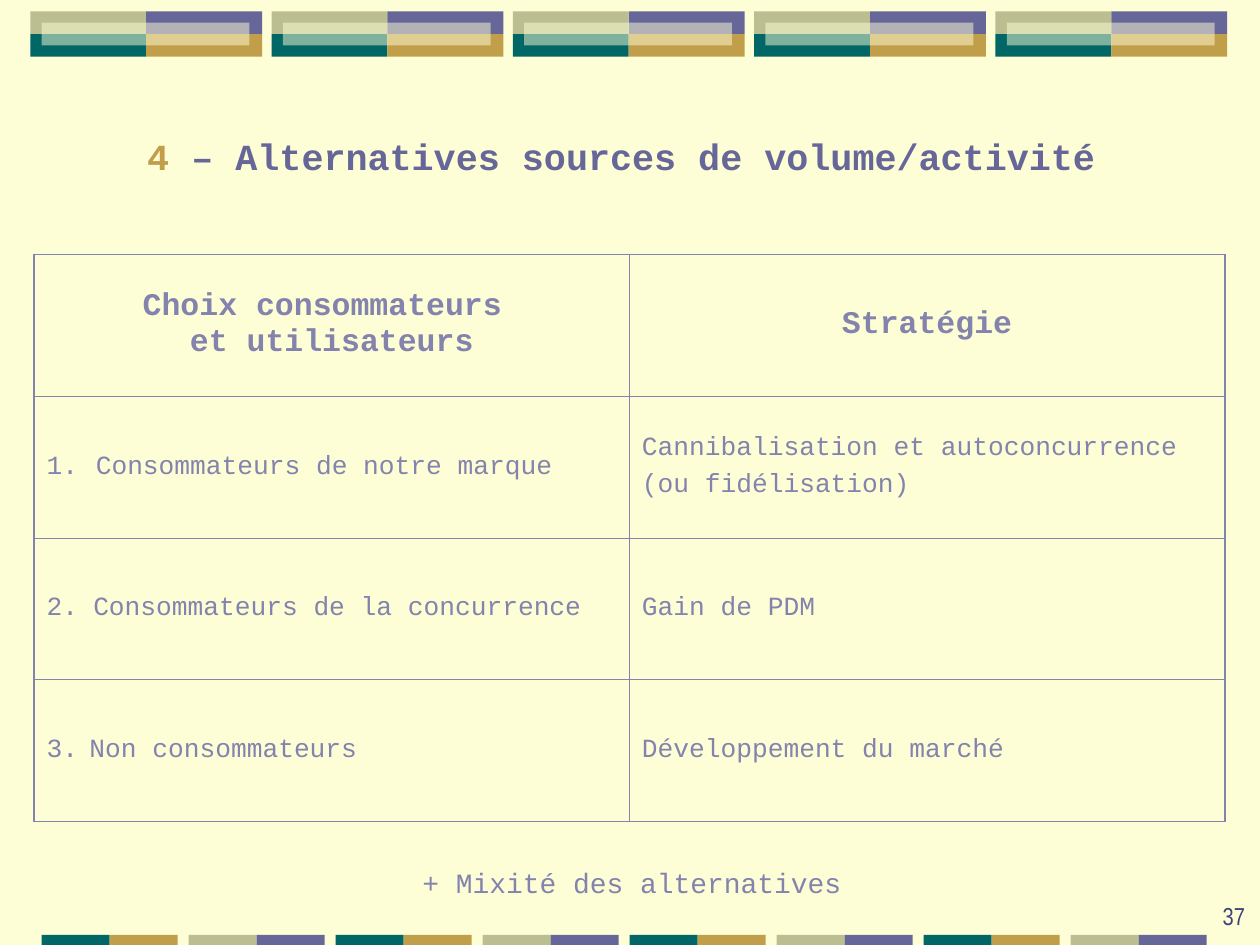
from pptx import Presentation
from pptx.dml.color import RGBColor
from pptx.enum.shapes import MSO_SHAPE
from pptx.enum.text import MSO_ANCHOR, MSO_AUTO_SIZE, PP_ALIGN
from pptx.oxml.ns import qn
from pptx.util import Inches, Pt
from lxml import etree

RECTANGLE = MSO_SHAPE.RECTANGLE
TOP, MIDDLE, BOTTOM = MSO_ANCHOR.TOP, MSO_ANCHOR.MIDDLE, MSO_ANCHOR.BOTTOM
LEFT, CENTER, RIGHT = PP_ALIGN.LEFT, PP_ALIGN.CENTER, PP_ALIGN.RIGHT
FIT_SHAPE = MSO_AUTO_SIZE.SHAPE_TO_FIT_TEXT

COLORS = {
    "cream": "FEFED6",
    "violet": "666699",
    "gold": "C09E4A",
    "teal": "006666",
    "olive": "BABE90",
    "lavender": "8383AD",
    "indigo": "404176",
}
HEADERS = ["Choix consommateurs \net utilisateurs", "Stratégie"]
ROWS = [
    ("1.\tConsommateurs de notre marque", 0.39,
     ["Cannibalisation et autoconcurrence", "(ou fidélisation)"]),
    ("2.\tConsommateurs de la concurrence", 0.37, ["Gain de PDM"]),
    ("3.\tNon consommateurs", 0.34, ["Développement du marché"]),
]


class SlideBuilder:
    font_name = "Courier New"
    outer_line = 1.08
    inner_line = 0.45

    def __init__(self, slide):
        self.slide = slide
        fill = slide.background.fill
        fill.solid()
        fill.fore_color.rgb = self.color("cream")

    def color(self, name):
        return RGBColor.from_string(COLORS[name])

    def style(self, span, size, color, bold=False, font_name=None):
        span.font.name = font_name or self.font_name
        span.font.size = Pt(size)
        span.font.bold = bold
        span.font.color.rgb = self.color(color)

    def block(self, left, top, width, height, color, alpha=None):
        shape = self.slide.shapes.add_shape(
            RECTANGLE, Inches(left), Inches(top), Inches(width), Inches(height))
        shape.shadow.inherit = False
        shape.line.fill.background()
        shape.fill.solid()
        shape.fill.fore_color.rgb = self.color(color)
        if alpha is not None:
            tint = shape.fill._xPr.find(qn("a:solidFill"))[0]
            etree.SubElement(tint, qn("a:alpha")).set("val", str(alpha * 1000))

    def text(self, left, top, width, height, spans, size, align=LEFT, anchor=TOP,
             bold=False, wrap=False, line_spacing=None, font_name=None):
        box = self.slide.shapes.add_textbox(
            Inches(left), Inches(top), Inches(width), Inches(height))
        frame = box.text_frame
        frame.word_wrap = wrap
        if not wrap:
            frame.auto_size = FIT_SHAPE
        frame.vertical_anchor = anchor
        para = frame.paragraphs[0]
        para.alignment = align
        if line_spacing:
            para.line_spacing = line_spacing
        for wording, color in spans:
            span = para.add_run()
            span.text = wording
            self.style(span, size, color, bold, font_name)

    def table(self, left, top, width, height, rows, columns):
        frame = self.slide.shapes.add_table(
            rows, columns, Inches(left), Inches(top), Inches(width), Inches(height))
        grid = frame.table
        grid.first_row = False
        grid.horz_banding = False
        for row in range(rows):
            for column in range(columns):
                cell = grid.cell(row, column)
                edges = {
                    "a:lnL": column == 0,
                    "a:lnR": column == columns - 1,
                    "a:lnT": row == 0,
                    "a:lnB": row == rows - 1,
                }
                for tag, outer in edges.items():
                    self.border(cell, tag, self.outer_line if outer else self.inner_line)
                cell.fill.background()
                cell.vertical_anchor = MIDDLE
        return grid

    def border(self, cell, tag, width):
        line = etree.SubElement(cell._tc.get_or_add_tcPr(), qn(tag))
        line.set("w", str(int(Pt(width))))
        fill = etree.SubElement(line, qn("a:solidFill"))
        etree.SubElement(fill, qn("a:srgbClr")).set("val", COLORS["lavender"])

    def cell_text(self, cell, lines, size, align=LEFT, bold=False, tab=None):
        frame = cell.text_frame
        for index, wording in enumerate(lines):
            para = frame.add_paragraph() if index else frame.paragraphs[0]
            para.text = wording
            para.alignment = align
            if index:
                para.space_before = Pt(3.7)
            if tab:
                stops = etree.SubElement(para._p.get_or_add_pPr(), qn("a:tabLst"))
                stop = etree.SubElement(stops, qn("a:tab"))
                stop.set("pos", str(Inches(tab)))
                stop.set("algn", "l")
            for span in para.runs:
                self.style(span, size, "lavender", bold)


def main():
    deck = Presentation()
    deck.slide_width, deck.slide_height = Inches(10), Inches(7.5)
    page = SlideBuilder(deck.slides.add_slide(deck.slide_layouts[6]))

    tile_width, tile_height, tile_top = 0.92, 0.18, 0.09
    tiles = [("olive", "violet"), ("teal", "gold")]
    for group in range(5):
        left = 0.24 + group * 1.915
        for row, colors in enumerate(tiles):
            for column, color in enumerate(colors):
                page.block(left + column * tile_width, tile_top + row * tile_height,
                           tile_width, tile_height, color)
        page.block(left + 0.09, 0.18, 1.65, tile_height, "cream", alpha=50)

    strips = [("teal", "gold"), ("olive", "violet")]
    for group in range(8):
        for column, color in enumerate(strips[group % 2]):
            page.block(0.33 + group * 7 / 6 + column * 0.54, 7.42, 0.54, 0.08, color)

    page.text(1.07, 1.01, 7.75, 0.45,
              [("4", "gold"), (" – Alternatives sources de volume/activité", "violet")],
              21, bold=True)

    grid = page.table(0.27, 2.02, 9.45, 4.5, len(ROWS) + 1, len(HEADERS))
    for column, header in enumerate(HEADERS):
        page.cell_text(grid.cell(0, column), [header], 18, CENTER, bold=True)
    for row, (choice, tab, strategy) in enumerate(ROWS, start=1):
        page.cell_text(grid.cell(row, 0), [choice], 15, tab=tab)
        page.cell_text(grid.cell(row, 1), strategy, 15)

    page.text(2.96, 6.74, 4.11, 0.45, [("+ Mixité des alternatives", "lavender")],
              16, CENTER, line_spacing=1.3)
    page.text(7.9, 6.93, 2.08, 0.5, [("37", "indigo")], 14, RIGHT, BOTTOM,
              wrap=True, font_name="Arial Narrow")
    deck.save("out.pptx")


if __name__ == "__main__":
    main()
